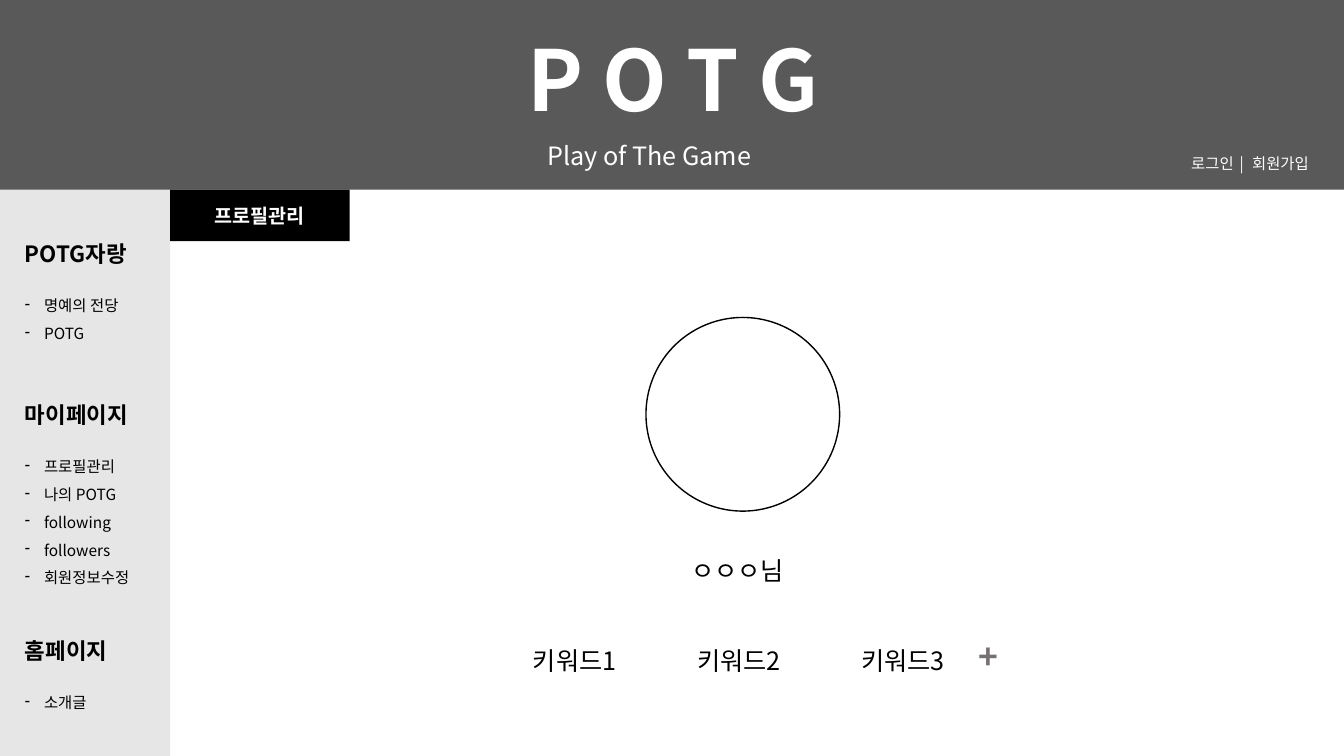
from dataclasses import dataclass

from lxml.etree import SubElement
from pptx import Presentation
from pptx.dml.color import RGBColor
from pptx.enum.shapes import MSO_SHAPE
from pptx.enum.text import MSO_ANCHOR, MSO_AUTO_SIZE, PP_ALIGN
from pptx.oxml.ns import qn
from pptx.util import Cm, Pt


@dataclass(frozen=True)
class Theme:
    """Typeface, colours and type sizes of the page."""
    typeface: str = "Noto Sans CJK KR"
    white: str = "FFFFFF"
    black: str = "000000"
    header: str = "595959"
    sidebar: str = "E7E6E6"
    plus: str = "767171"
    logo_size: int = 60
    plus_size: int = 24
    body_size: int = 18
    heading_size: int = 16
    tab_size: int = 14
    small_size: int = 11


@dataclass(frozen=True)
class Box:
    """A rectangle in centimetres."""
    left: float
    top: float
    width: float
    height: float

    def inner(self, left, top, width, height):
        """Return a box placed relative to this one."""
        return Box(self.left + left, self.top + top, width, height)

    def lengths(self):
        """Return left, top, width and height as lengths."""
        return Cm(self.left), Cm(self.top), Cm(self.width), Cm(self.height)


THEME = Theme()
SECTIONS = [
    ("POTG자랑", 2.16, 3.15, ["명예의 전당", "POTG"]),
    ("마이페이지", 6.22, 3.35,
     ["프로필관리", "나의 POTG", "following", "followers", "회원정보수정"]),
    ("홈페이지", 12.17, 2.79, ["소개글"]),
]


def style_paragraph(para, size, color, bold=False, align=PP_ALIGN.LEFT):
    """Set alignment and font, for Korean text as well as Latin."""
    para.alignment = align
    font = para.font
    font.size, font.bold, font.name = Pt(size), bold, THEME.typeface
    font.color.rgb = RGBColor.from_string(color)
    defaults = para._p.pPr.find(qn("a:defRPr"))
    SubElement(defaults, qn("a:ea")).set("typeface", THEME.typeface)


def add_dash(para):
    """Give a paragraph a hanging dash bullet and wide lines."""
    para.line_spacing = 1.5
    properties = para._p.get_or_add_pPr()
    properties.set("marL", str(Cm(0.48)))
    properties.set("indent", str(-Cm(0.48)))
    SubElement(properties, qn("a:buFontTx"))
    SubElement(properties, qn("a:buChar")).set("char", "-")


def add_text(page, box, lines, size, color=THEME.black, bold=False,
             align=PP_ALIGN.LEFT, wrap=True, dashed=False):
    """Add a text box with one paragraph per line and return its frame."""
    frame = page.shapes.add_textbox(*box.lengths()).text_frame
    frame.word_wrap = wrap
    frame.auto_size = MSO_AUTO_SIZE.SHAPE_TO_FIT_TEXT
    for index, line in enumerate(lines):
        para = frame.add_paragraph() if index else frame.paragraphs[0]
        para.text = line
        if dashed:
            add_dash(para)
        style_paragraph(para, size, color, bold, align)
    return frame


def add_block(page, box, fill, kind=MSO_SHAPE.RECTANGLE):
    """Add a flat filled shape without outline."""
    shape = page.shapes.add_shape(kind, *box.lengths())
    shape.shadow.inherit = False
    shape.fill.solid()
    shape.fill.fore_color.rgb = RGBColor.from_string(fill)
    shape.line.fill.background()
    return shape


def draw_header(page, box):
    """Draw the banner with logo text, subtitle and account links."""
    add_block(page, box, THEME.header)
    add_text(page, box.inner(12.7, 0.58, 8.53, 2.82), ["P O T G"],
             THEME.logo_size, THEME.white, bold=True, align=PP_ALIGN.CENTER)
    add_text(page, box.inner(13.54, 3.4, 6.78, 1.02), ["Play of The Game"],
             THEME.body_size, THEME.white, align=PP_ALIGN.JUSTIFY)
    links = add_text(page, box.inner(29.77, 3.76, 4.06, 0.74), ["로그인"],
                     THEME.small_size, THEME.white).paragraphs[0]
    separator = links.add_run()
    separator.text = " | "
    separator._r.get_or_add_rPr().set("spc", "170")
    links.add_run().text = "회원가입"


def draw_sidebar(page, box):
    """Draw the menu column with its headed lists."""
    add_block(page, box, THEME.sidebar)
    for heading, top, width, entries in SECTIONS:
        add_text(page, box.inner(0.38, top, width, 0.94), [heading],
                 THEME.heading_size, bold=True)
        add_text(page, box.inner(0.38, top + 1.19, width, 0.7 * len(entries)),
                 entries, THEME.small_size, dashed=True)


def draw_profile(page, box):
    """Draw the profile tab, portrait circle, name and keywords."""
    tab = add_block(page, box.inner(0, 0, 4.52, 1.3), THEME.black)
    tab.text_frame.vertical_anchor = MSO_ANCHOR.MIDDLE
    label = tab.text_frame.paragraphs[0]
    label.text = "프로필관리"
    style_paragraph(label, THEME.tab_size, THEME.white, True, PP_ALIGN.CENTER)

    portrait = add_block(page, box.inner(11.99, 3.22, 4.88, 4.88),
                         THEME.white, MSO_SHAPE.OVAL)
    portrait.line.color.rgb = RGBColor.from_string(THEME.black)
    portrait.line.width = Pt(1)

    add_text(page, box.inner(12.88, 9.09, 3.07, 1.02), ["ㅇㅇㅇ님"],
             THEME.body_size, wrap=False)
    for index in range(3):
        add_text(page, box.inner(8.89 + 4.14 * index, 11.35, 2.79, 1.02),
                 [f"키워드{index + 1}"], THEME.body_size, wrap=False)
    add_text(page, box.inner(20.12, 11.12, 0.91, 1.27), ["+"],
             THEME.plus_size, THEME.plus, bold=True)


def main():
    """Build the profile page and save it."""
    deck = Presentation()
    deck.slide_width, deck.slide_height = Cm(33.87), Cm(19.05)
    page = deck.slides.add_slide(deck.slide_layouts[6])
    draw_sidebar(page, Box(0, 3.76, 4.29, 15.29))
    draw_header(page, Box(0, 0, 33.87, 4.78))
    draw_profile(page, Box(4.29, 4.78, 29.58, 14.27))
    deck.save("out.pptx")


if __name__ == "__main__":
    main()
